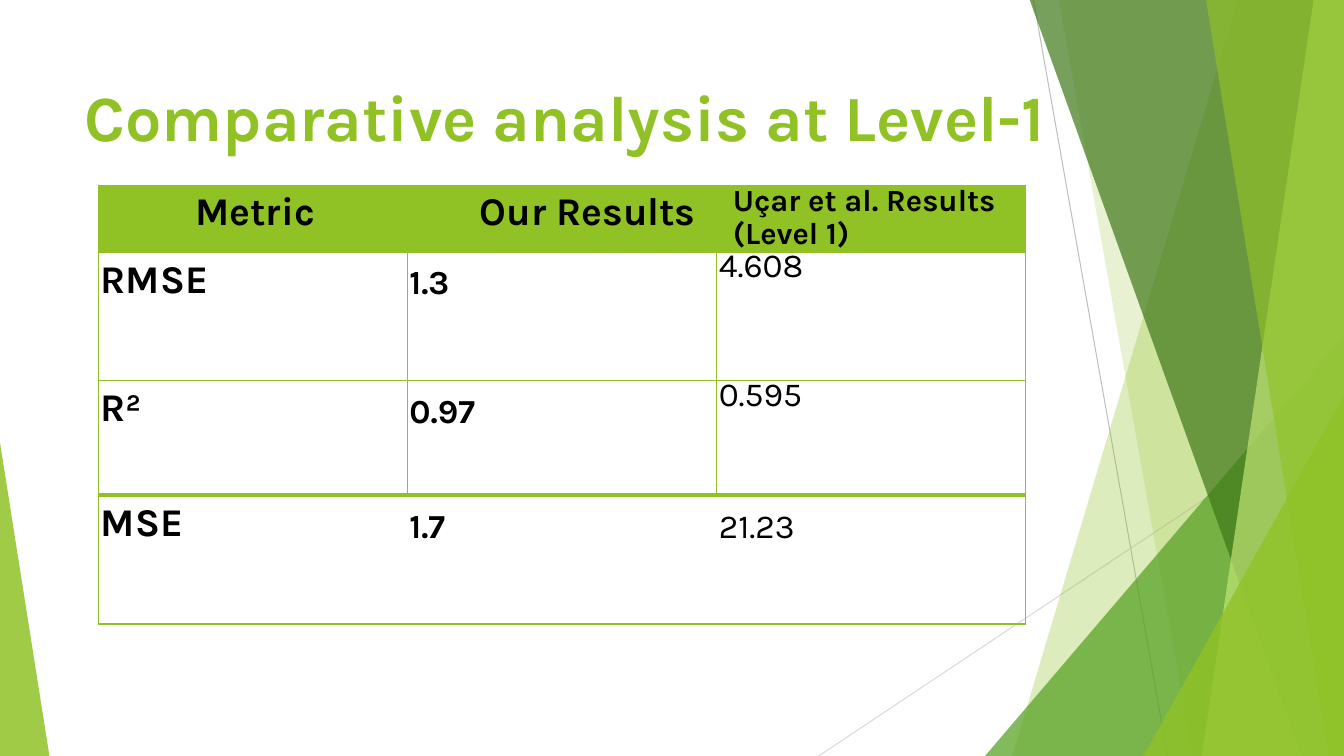
"""Build a slide comparing model metrics at Level-1 in a table, with a green faceted backdrop."""
import pptx
import pptx.dml.color
import pptx.enum.shapes
import pptx.enum.text
import pptx.oxml.ns
import pptx.util
from lxml import etree

Inches = pptx.util.Inches
Pt = pptx.util.Pt
RGBColor = pptx.dml.color.RGBColor
qn = pptx.oxml.ns.qn

FONT = "Karla"
COLORS = {
    "green": "90C226",
    "leaf": "54A021",
    "forest": "3F7819",
    "lime": "C0E474",
    "gray": "BFBFBF",
    "silver": "D9D9D9",
    "black": "000000",
}


def paint(shape, color, opacity):
    shape.shadow.inherit = False
    shape.fill.solid()
    shape.fill.fore_color.rgb = RGBColor.from_string(COLORS[color])
    shape.line.fill.background()
    color_element = shape.fill._xPr.find(qn("a:solidFill"))[0]
    etree.SubElement(color_element, qn("a:alpha"), val=str(opacity * 1000))


def set_border(cell, edge, width):
    line = etree.SubElement(cell._tc.get_or_add_tcPr(), qn(f"a:{edge}"), w=str(Pt(width)))
    if width:
        fill = etree.SubElement(line, qn("a:solidFill"))
        etree.SubElement(fill, qn("a:srgbClr"), val=COLORS["green"])
    else:
        etree.SubElement(line, qn("a:noFill"))


presentation = pptx.Presentation()
presentation.slide_width = Inches(13.33)
presentation.slide_height = Inches(7.5)
slide = presentation.slides.add_slide(presentation.slide_layouts[6])

for start_x, start_y, end_x, end_y, color in [
    (10.25, 0, 11.58, 7.5, "gray"),
    (13.33, 4.03, 8.12, 7.5, "silver"),
]:
    connector = slide.shapes.add_connector(
        pptx.enum.shapes.MSO_CONNECTOR.STRAIGHT,
        Inches(start_x), Inches(start_y), Inches(end_x), Inches(end_y))
    connector.line.color.rgb = RGBColor.from_string(COLORS[color])
    connector.line.width = Pt(0.75)
    etree.SubElement(connector._element.spPr, qn("a:effectLst"))

# Bands give top and bottom x of the left edge; triangles give a box and the apex position.
facets = [
    ("band", (12.28, 10.04), "green", 30),
    ("band", (10.5, 11.83), "green", 20),
    ("triangle", (9.77, 3.33, 3.56, 4.17, 1), "leaf", 72),
    ("band", (10.21, 12.91), "forest", 70),
    ("band", (13.03, 11.92), "lime", 70),
    ("band", (11.96, 13.18), "green", 65),
    ("triangle", (11.34, 3.93, 1.99, 3.57, 1), "green", 80),
    ("triangle", (0, 4.39, 0.49, 3.11, 0), "green", 85),
]
for kind, geometry, color, opacity in facets:
    if kind == "band":
        top_x, bottom_x = geometry
        builder = slide.shapes.build_freeform(Inches(top_x), Inches(-0.01))
        builder.add_line_segments([
            (Inches(x), Inches(y))
            for x, y in [(13.33, -0.01), (13.33, 7.5), (bottom_x, 7.5)]
        ])
        facet = builder.convert_to_shape()
    else:
        *box, apex = geometry
        facet = slide.shapes.add_shape(
            pptx.enum.shapes.MSO_SHAPE.ISOSCELES_TRIANGLE, *map(Inches, box))
        facet.adjustments[0] = apex
    paint(facet, color, opacity)

title = slide.shapes.add_textbox(Inches(0.74), Inches(0.67), Inches(10.43), Inches(1.17))
title.text_frame.word_wrap = True
title.text_frame.margin_top = Inches(0.1)
paragraph = title.text_frame.paragraphs[0]
paragraph.text = "Comparative analysis at Level-1"
paragraph.font.name = FONT
paragraph.font.size = Pt(46)
paragraph.font.bold = True
paragraph.font.color.rgb = RGBColor.from_string(COLORS["green"])

# Each cell holds its text, size, bold flag, left indent and number of line heights above.
rows = [
    (0.6, 11.9, [("Metric", 28, True, 0.04, 2), ("Our Results", 28, True, 0.72, 2),
                 ("Uçar et al. Results\n(Level 1)", 22, True, 0.16, 1)]),
    (1.27, 12.1, [("RMSE", 28, True, 0.02, 2), ("1.3", 24, True, 0.02, 2),
                  ("4.608", 24, False, 0.02, 1)]),
    (1.14, 12.3, [("R²", 28, True, 0.02, 2), ("0.97", 24, True, 0.02, 2),
                  ("0.595", 24, False, 0.02, 1)]),
    (1.28, 12.3, [("MSE", 28, True, 0.02, 2), ("1.7", 24, True, 0.02, 2),
                  ("21.23", 24, False, 0.02, 2)]),
]
edge_widths = [1, 1, 1, 4, 1]
last_row = len(rows) - 1

table = slide.shapes.add_table(
    len(rows), 3, Inches(0.98), Inches(1.84), Inches(9.19), Inches(4.29)).table
table.first_row = False
table.horz_banding = False
for column, width in zip(table.columns, [3.06, 3.07, 3.06]):
    column.width = Inches(width)

for row_index, (height, line_height, entries) in enumerate(rows):
    table.rows[row_index].height = Inches(height)
    for column_index, (text, size, bold, indent, lines_above) in enumerate(entries):
        cell = table.cell(row_index, column_index)
        cell.margin_left = Inches(indent)
        cell.margin_right = cell.margin_bottom = 0
        cell.margin_top = Pt(line_height * lines_above)
        cell.text = text
        for paragraph_index, paragraph in enumerate(cell.text_frame.paragraphs):
            paragraph.line_spacing = Pt(line_height)
            paragraph.space_before = Pt(line_height * paragraph_index)
            paragraph.font.name = FONT
            paragraph.font.size = Pt(size)
            paragraph.font.bold = bold
            paragraph.font.color.rgb = RGBColor.from_string(COLORS["black"])
            if text == "Metric":
                paragraph.alignment = pptx.enum.text.PP_ALIGN.CENTER

        inner_width = 1 if 0 < row_index < last_row else 0
        set_border(cell, "lnL", inner_width if column_index > 0 else 1)
        set_border(cell, "lnR", inner_width if column_index < 2 else 1)
        set_border(cell, "lnT", edge_widths[row_index])
        set_border(cell, "lnB", edge_widths[row_index + 1])
        if row_index == 0:
            cell.fill.solid()
            cell.fill.fore_color.rgb = RGBColor.from_string(COLORS["green"])
        else:
            cell.fill.background()

presentation.save("out.pptx")
